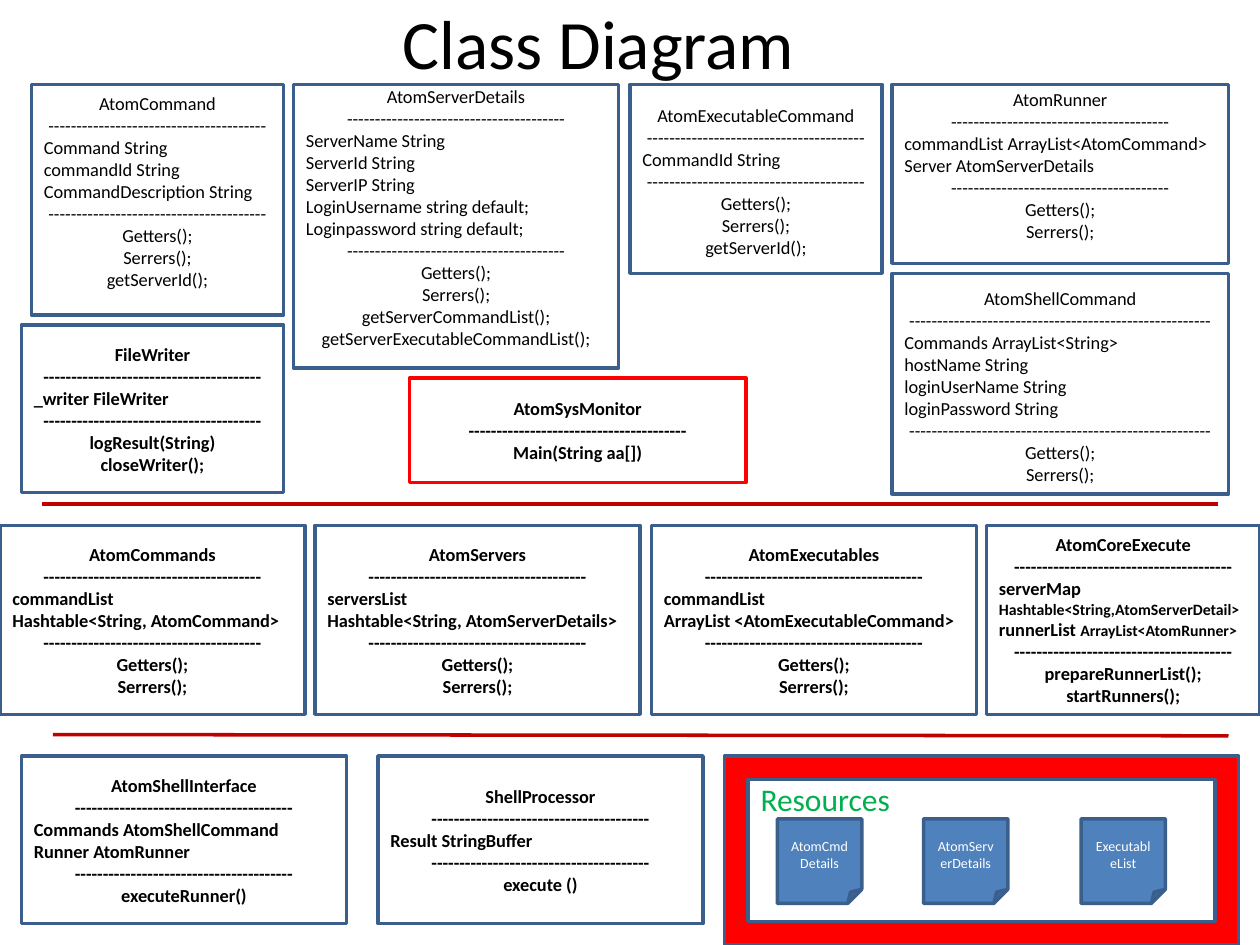
from pptx import Presentation
from pptx.dml.color import RGBColor as Rgb
from pptx.enum.shapes import MSO_CONNECTOR as Link, MSO_SHAPE as Kind
from pptx.enum.text import MSO_ANCHOR as Anchor, PP_ALIGN as Align
from pptx.oxml.ns import qn
from pptx.util import Inches, Pt
from lxml.etree import SubElement

THEME = dict(
    face="Calibri", ink="000000", paper="FFFFFF", edge="3A5F8C", alert="FF0000",
    rule="C00000", note="4F81BD", green="00B050", stroke=2,
    title=39.6, body=10.5, small=9, label=8, head=18,
)
GRID = 12
TITLE = ("Class Diagram", (3, 0, 108, 8))
EVEN, HIGH, LOW = (0.05, 0.05), (0, 0.14), (0.09, 0.05)
ACCESS = ["Getters();", "Serrers();"]

PLAIN = [
    ((3, 8, 24, 22), HIGH, 39, "AtomCommand",
     ["Command String", "commandId String", "CommandDescription String"],
     ACCESS + ["getServerId();"]),
    ((28, 8, 31, 27), HIGH, 39, "AtomServerDetails",
     ["ServerName String", "ServerId String", "ServerIP String",
      "LoginUsername string default;", "Loginpassword string default;"],
     ACCESS + ["getServerCommandList();", "getServerExecutableCommandList();"]),
    ((60, 8, 24, 18), LOW, 39, "AtomExecutableCommand",
     ["CommandId String"], ACCESS + ["getServerId();"]),
    ((85, 8, 32, 17), HIGH, 39, "AtomRunner",
     ["commandList ArrayList<AtomCommand>", "Server AtomServerDetails"], ACCESS),
    ((85, 26, 32, 21), LOW, 54, "AtomShellCommand",
     ["Commands ArrayList<String>", "hostName String", "loginUserName String",
      "loginPassword String"], ACCESS),
]
BOLD = [
    ((62, 50, 31, 18), "AtomExecutables",
     ["commandList", "ArrayList <AtomExecutableCommand>"], ACCESS),
    ((0, 50, 29, 18), "AtomCommands",
     ["commandList", "Hashtable<String, AtomCommand>"], ACCESS),
    ((30, 50, 31, 18), "AtomServers",
     ["serversList", "Hashtable<String, AtomServerDetails>"], ACCESS),
    ((94, 50, 26, 18), "AtomCoreExecute",
     [("serverMap ", "Hashtable<String,AtomServerDetail>"),
      ("runnerList ", "ArrayList<AtomRunner>")],
     ["prepareRunnerList();", "startRunners();"]),
    ((2, 72, 31, 16), "AtomShellInterface",
     ["Commands AtomShellCommand", "Runner AtomRunner"], ["executeRunner()"]),
    ((36, 72, 31, 16), "ShellProcessor", ["Result StringBuffer"], ["execute ()"]),
    ((2, 31, 25, 16), "FileWriter",
     ["_writer FileWriter"], ["logResult(String)", "closeWriter();"]),
]
MAIN = ((39, 36, 32, 10), "AtomSysMonitor", [], ["Main(String aa[])"])
RULES = [(4, 48, 116, 48), (5, 70, 117, 70.1)]
STORE = ("Resources", (69, 72, 49, 18))
NOTES = {74: "AtomCmdDetails", 88: "AtomServerDetails", 103: "ExecutableList"}

deck = Presentation()
deck.slide_width, deck.slide_height = Inches(10), Inches(7.5)
slide = deck.slides.add_slide(deck.slide_layouts[6])


def scale(cells):
    return [Inches(round(n / GRID, 2)) for n in cells]


def tint(name):
    return Rgb.from_string(THEME[name])


def apply(item, form):
    for key, value in form.items():
        setattr(item, key, value)


def write(shape, lines, size, ink="ink", bold=False, pad=EVEN, anchor=Anchor.MIDDLE):
    frame = shape.text_frame
    apply(frame, dict(word_wrap=True, vertical_anchor=anchor,
                      margin_top=Inches(pad[0]), margin_bottom=Inches(pad[1])))
    for i, (text, align) in enumerate(lines):
        para = frame.paragraphs[0] if i == 0 else frame.add_paragraph()
        para.alignment = align
        parts = (text,) if isinstance(text, str) else text
        for part, pts in zip(parts, (size, "small")):
            run = para.add_run()
            run.text = part
            apply(run.font, dict(name=THEME["face"], size=Pt(THEME[pts]), bold=bold))
            run.font.color.rgb = tint(ink)


def draw(kind, cells, fill="paper", edge="edge"):
    shape = slide.shapes.add_shape(kind, *scale(cells))
    shape.shadow.inherit = False
    shape.fill.solid()
    shape.fill.fore_color.rgb = tint(fill)
    shape.line.color.rgb = tint(edge)
    shape.line.width = Pt(THEME["stroke"])
    return shape


def card(cells, name, fields, calls, pad=EVEN, dashes=39, bold=True, edge="edge"):
    bar = [("-" * dashes, Align.CENTER)]
    lines = [(name, Align.CENTER)] + bar
    if fields:
        lines += [(field, Align.LEFT) for field in fields] + bar
    lines += [(call, Align.CENTER) for call in calls]
    write(draw(Kind.RECTANGLE, cells, edge=edge), lines, "body", bold=bold, pad=pad)


text, cells = TITLE
write(slide.shapes.add_textbox(*scale(cells)), [(text, Align.CENTER)], "title")

for cells, pad, dashes, name, fields, calls in PLAIN:
    card(cells, name, fields, calls, pad, dashes, bold=False)
for entry in BOLD:
    card(*entry)
card(*MAIN, edge="alert")

for ends in RULES:
    rule = slide.shapes.add_connector(Link.STRAIGHT, *scale(ends))
    rule.line.color.rgb = tint("rule")
    rule.line.width = Pt(THEME["stroke"])
    SubElement(rule.element.spPr, qn("a:effectLst"))

text, cells = STORE
write(draw(Kind.FRAME, cells, fill="alert"), [(text, Align.LEFT)], "head", "green",
      pad=(0, 0), anchor=Anchor.TOP)
for left, text in NOTES.items():
    note = draw(Kind.FOLDED_CORNER, (left, 78, 8, 8), fill="note")
    write(note, [(text, Align.CENTER)], "label", "paper")

deck.save("out.pptx")
